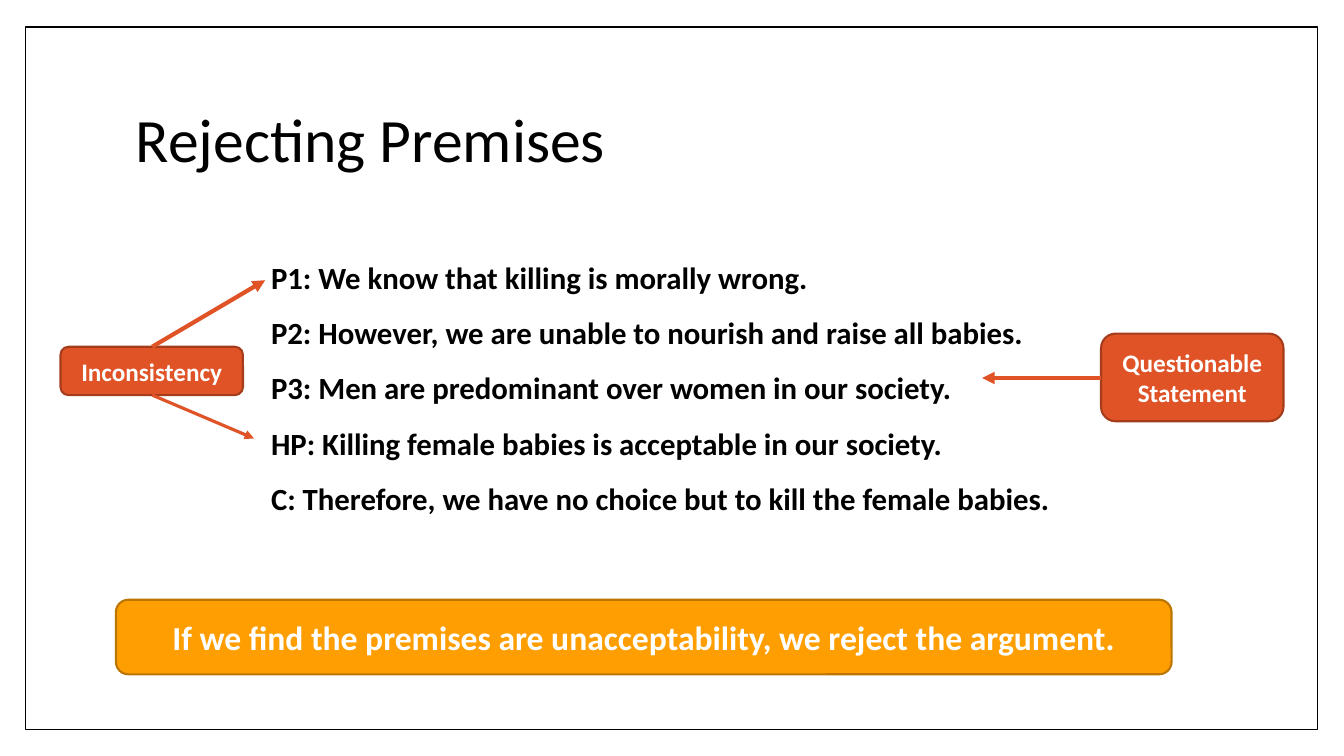
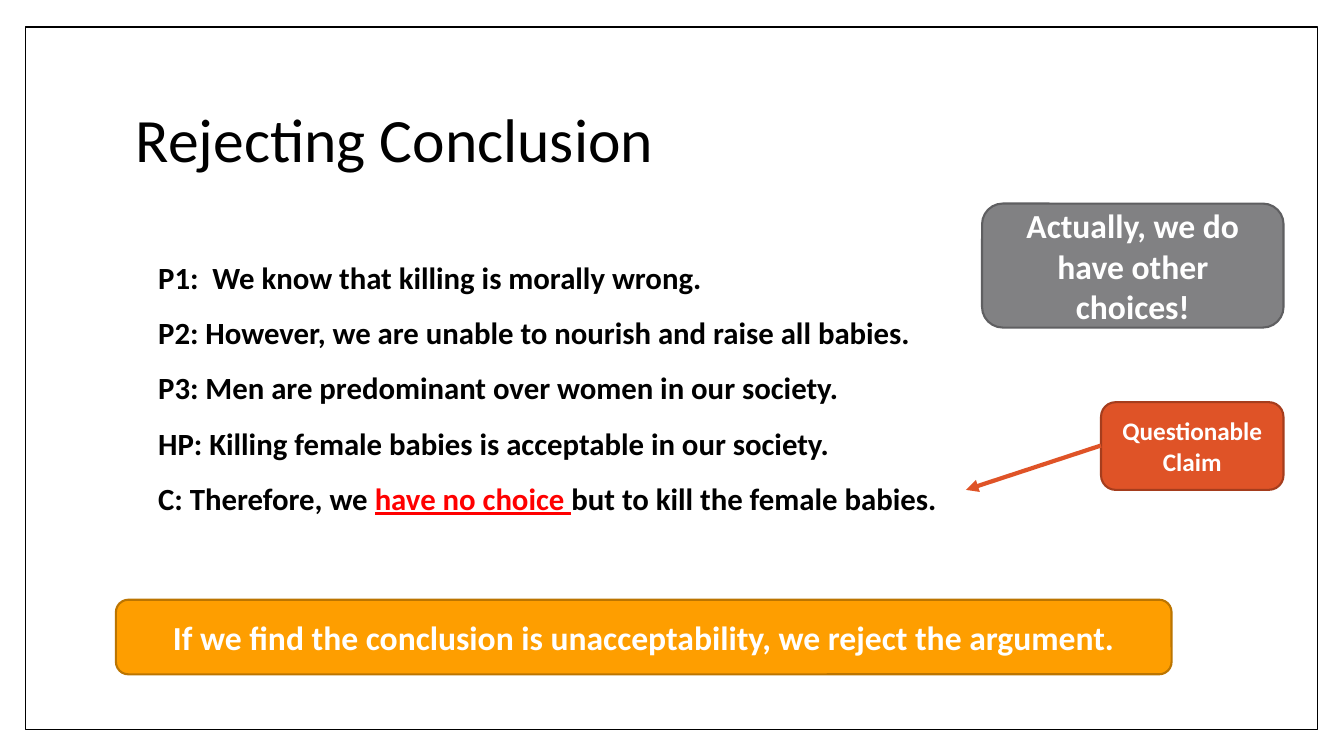
from dataclasses import dataclass

from lxml.etree import SubElement
from pptx import Presentation
from pptx.dml.color import RGBColor
from pptx.enum.shapes import MSO_CONNECTOR, MSO_SHAPE
from pptx.enum.text import MSO_ANCHOR, PP_ALIGN
from pptx.oxml.ns import qn
from pptx.slide import Slide
from pptx.text.text import Font
from pptx.util import Inches, Pt

FONT_NAME = "Calibri"
BLACK = RGBColor(0x00, 0x00, 0x00)
WHITE = RGBColor(0xFF, 0xFF, 0xFF)
RED = RGBColor(0xFF, 0x00, 0x00)
ORANGE = RGBColor(0xDF, 0x53, 0x27)
DARK_ORANGE = RGBColor(0xA5, 0x3D, 0x1D)
AMBER = RGBColor(0xFE, 0x9E, 0x00)
DARK_AMBER = RGBColor(0xBC, 0x75, 0x00)
GRAY = RGBColor(0x81, 0x81, 0x83)
DARK_GRAY = RGBColor(0x5F, 0x5F, 0x61)


@dataclass(frozen=True)
class Area:
    left: float
    top: float
    width: float
    height: float

    def lengths(self) -> tuple[Inches, ...]:
        return tuple(map(Inches, (self.left, self.top, self.width, self.height)))


@dataclass(frozen=True)
class Span:
    text: str
    highlighted: bool = False


@dataclass(frozen=True)
class Callout:
    text: str
    area: Area
    fill: RGBColor = ORANGE
    outline: RGBColor = DARK_ORANGE
    size: int = 18


@dataclass(frozen=True)
class Arrow:
    start: tuple[float, float]
    end: tuple[float, float]
    width: float = 3


@dataclass(frozen=True)
class Argument:
    title: str
    left: float
    statements: tuple[tuple[Span, ...], ...]
    verdict: str
    callouts: tuple[Callout, ...]
    arrows: tuple[Arrow, ...]


FRAME_AREA = Area(0.25, 0.27, 12.82, 6.97)
TITLE_AREA = Area(1.25, 0.67, 10.8, 1.48)
VERDICT_AREA = Area(1.15, 5.95, 10.47, 0.74)

SHARED_PREMISES = (
    (Span("P2: However, we are unable to nourish and raise all babies."),),
    (Span("P3: Men are predominant over women in our society."),),
    (Span("HP: Killing female babies is acceptable in our society."),),
)

ARGUMENTS = (
    Argument(
        title="Rejecting Premises",
        left=2.59,
        statements=(
            (Span("P1: We know that killing is morally wrong."),),
            *SHARED_PREMISES,
            (Span("C: Therefore, we have no choice but to kill the female babies."),),
        ),
        verdict="If we find the premises are unacceptability, we reject the argument.",
        callouts=(
            Callout("Questionable Statement", Area(10.92, 3.31, 1.81, 0.87)),
            Callout("Inconsistency", Area(0.6, 3.44, 1.81, 0.48)),
        ),
        arrows=(
            Arrow((10.92, 3.75), (9.74, 3.75)),
            Arrow((1.51, 3.44), (2.63, 2.78)),
            Arrow((1.51, 3.92), (2.52, 4.35), 2.25),
        ),
    ),
    Argument(
        title="Rejecting Conclusion",
        left=1.47,
        statements=(
            (Span("P1:  We know that killing is morally wrong."),),
            *SHARED_PREMISES,
            (
                Span("C: Therefore, we "),
                Span("have no choice ", highlighted=True),
                Span("but to kill the female babies."),
            ),
        ),
        verdict="If we find the conclusion is unacceptability, we reject the argument.",
        callouts=(
            Callout("Questionable Claim", Area(10.92, 3.99, 1.81, 0.87)),
            Callout(
                "Actually, we do have other choices!",
                Area(9.74, 2.02, 2.99, 1.23),
                GRAY,
                DARK_GRAY,
                24,
            ),
        ),
        arrows=(Arrow((10.92, 4.42), (9.58, 4.86)),),
    ),
)


def style_font(font: Font, size: int, color: RGBColor, bold: bool = True) -> None:
    font.name = FONT_NAME
    font.size = Pt(size)
    font.bold = bold
    font.color.rgb = color


def draw_frame(page: Slide) -> None:
    frame = page.shapes.add_shape(MSO_SHAPE.RECTANGLE, *FRAME_AREA.lengths())
    frame.shadow.inherit = False
    frame.fill.solid()
    frame.fill.fore_color.rgb = WHITE
    frame.line.color.rgb = BLACK
    frame.line.width = Pt(1)


def draw_title(page: Slide, title: str) -> None:
    box = page.shapes.add_textbox(*TITLE_AREA.lengths())
    box.text_frame.word_wrap = True
    box.text_frame.vertical_anchor = MSO_ANCHOR.MIDDLE
    para = box.text_frame.paragraphs[0]
    para.text = title
    para.line_spacing = 0.9
    style_font(para.font, 44, BLACK, bold=False)


def draw_statements(
    page: Slide, left: float, statements: tuple[tuple[Span, ...], ...]
) -> None:
    box = page.shapes.add_textbox(*Area(left, 2.33, 8.11, 4.42).lengths())
    frame = box.text_frame
    frame.word_wrap = True
    for index, spans in enumerate(statements):
        para = frame.add_paragraph() if index else frame.paragraphs[0]
        para.line_spacing = 1.5
        style_font(para.font, 22, BLACK)
        for span in spans:
            run = para.add_run()
            run.text = span.text
            if span.highlighted:
                run.font.color.rgb = RED
                run.font.underline = True


def draw_callout(page: Slide, callout: Callout) -> None:
    box = page.shapes.add_shape(
        MSO_SHAPE.ROUNDED_RECTANGLE, *callout.area.lengths()
    )
    box.shadow.inherit = False
    box.fill.solid()
    box.fill.fore_color.rgb = callout.fill
    box.line.color.rgb = callout.outline
    box.line.width = Pt(1.5)
    box.text_frame.word_wrap = True
    box.text_frame.vertical_anchor = MSO_ANCHOR.MIDDLE
    para = box.text_frame.paragraphs[0]
    para.text = callout.text
    para.alignment = PP_ALIGN.CENTER
    style_font(para.font, callout.size, WHITE)


def draw_arrow(page: Slide, arrow: Arrow) -> None:
    connector = page.shapes.add_connector(
        MSO_CONNECTOR.STRAIGHT, *map(Inches, arrow.start + arrow.end)
    )
    connector.line.color.rgb = ORANGE
    connector.line.width = Pt(arrow.width)
    SubElement(connector.line._get_or_add_ln(), qn("a:tailEnd"), type="triangle")
    SubElement(connector._element.spPr, qn("a:effectLst"))


def draw_argument(page: Slide, argument: Argument) -> None:
    draw_frame(page)
    draw_title(page, argument.title)
    draw_statements(page, argument.left, argument.statements)
    for callout in argument.callouts:
        draw_callout(page, callout)
    for arrow in argument.arrows:
        draw_arrow(page, arrow)
    draw_callout(page, Callout(argument.verdict, VERDICT_AREA, AMBER, DARK_AMBER, 24))


def main() -> None:
    deck = Presentation()
    deck.slide_width = Inches(13.33)
    deck.slide_height = Inches(7.5)
    blank_layout = deck.slide_layouts[6]
    for argument in ARGUMENTS:
        draw_argument(deck.slides.add_slide(blank_layout), argument)
    deck.save("out.pptx")


if __name__ == "__main__":
    main()
